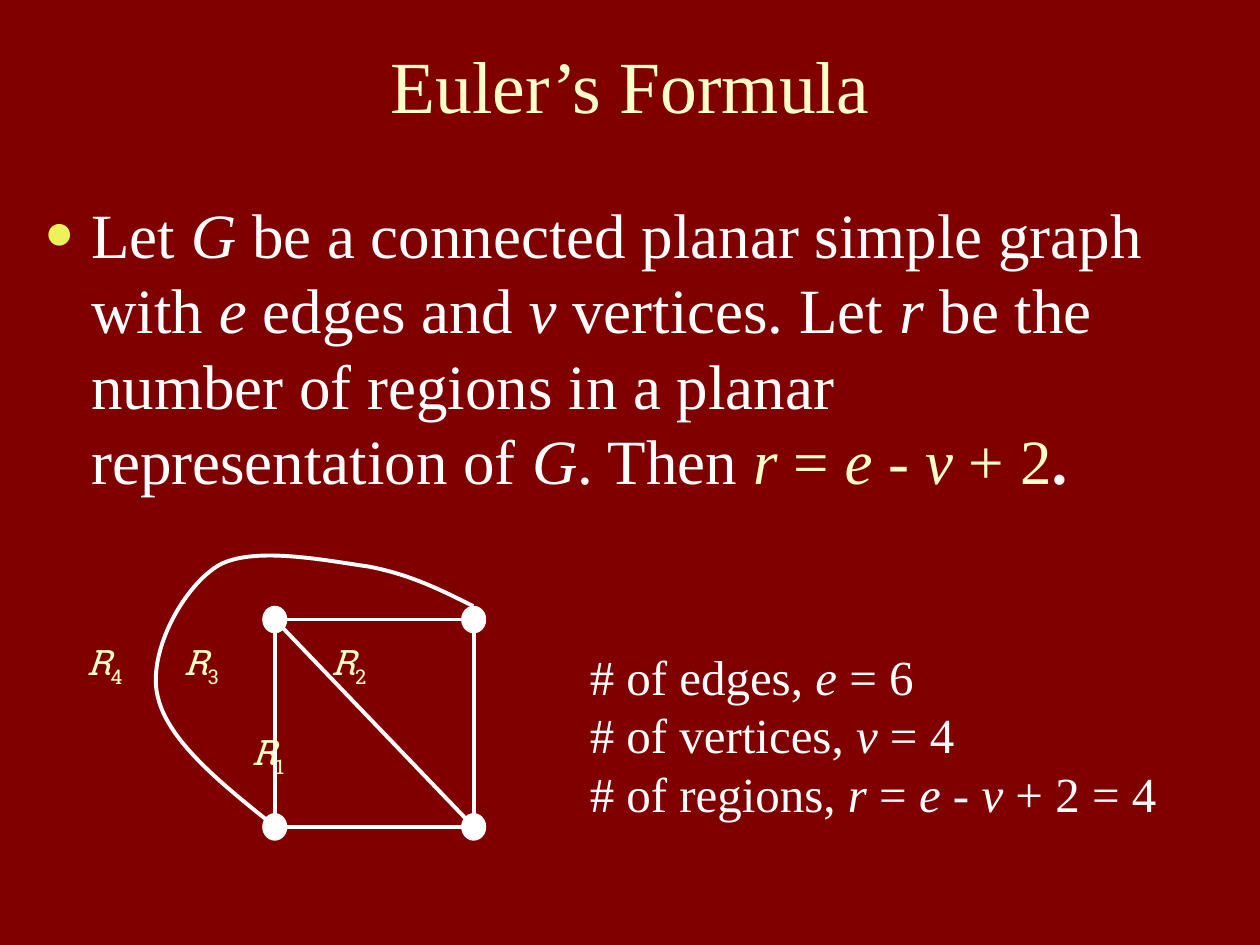
from lxml import etree
from pptx import Presentation, util as u
from pptx.dml import color
from pptx.enum import shapes, text
from pptx.oxml import ns

COLORS = {"ground": "800000", "accent": "FFFFCC", "body": "FFFFFF", "bullet": "EBF25A"}
SERIF, SLAB = "Times New Roman", "Roboto Slab"


def rgb(name):
    """Return the named colour."""
    return color.RGBColor.from_string(COLORS[name])


def add_element(parent, tag, **attributes):
    """Append a DrawingML element to its parent."""
    return etree.SubElement(parent, ns.qn(tag), attributes)


def add_text_box(slide, box, wrap=True):
    """Add an empty text box at a box in centimetres and return its frame."""
    frame = slide.shapes.add_textbox(*map(u.Cm, box)).text_frame
    frame.word_wrap = wrap
    return frame


def write_runs(paragraph, marked, size, color_name, font=SERIF):
    """Write text in which asterisks enclose the italic parts."""
    for index, part in enumerate(marked.split("*")):
        if part:
            run = paragraph.add_run()
            run.text = part
            run.font.name = font
            run.font.size = u.Pt(size)
            run.font.italic = index % 2 == 1
            run.font.color.rgb = rgb(color_name)
    return run


def style_line(line, width=2.25):
    """Give a line the diagram colour and a width in points."""
    line.color.rgb = rgb("body")
    line.width = u.Pt(width)


def add_title(slide, box):
    """Place the centred title."""
    frame = add_text_box(slide, box)
    frame.vertical_anchor = text.MSO_ANCHOR.MIDDLE
    paragraph = frame.paragraphs[0]
    paragraph.alignment = text.PP_ALIGN.CENTER
    write_runs(paragraph, "Euler’s Formula", 42, "accent")


def add_theorem(slide, box):
    """Place the bulleted theorem."""
    paragraph = add_text_box(slide, box).paragraphs[0]
    properties = paragraph._p.get_or_add_pPr()
    properties.set("marL", str(u.Cm(0.95)))
    properties.set("indent", str(u.Cm(-0.95)))
    bullet_color = add_element(properties, "a:buClr")
    add_element(bullet_color, "a:srgbClr", val=COLORS["bullet"])
    add_element(properties, "a:buSzPct", val="80000")
    add_element(properties, "a:buFont", typeface=SERIF)
    add_element(properties, "a:buChar", char="●")
    write_runs(paragraph, "Let *G* be a connected planar simple graph with *e* edges and *v* "
               "vertices. Let *r* be the number of regions in a planar representation "
               "of *G*. Then ", 36, "body")
    write_runs(paragraph, "*r* = *e* - *v* + 2", 36, "accent")
    write_runs(paragraph, ".", 36, "body").font.bold = True


def add_counts(slide, box):
    """Place the edge, vertex and region counts."""
    frame = add_text_box(slide, box)
    lines = ("# of edges, *e* = 6", "# of vertices, *v* = 4",
             "# of regions, *r* = *e* - *v* + 2 = 4")
    for index, line in enumerate(lines):
        paragraph = frame.add_paragraph() if index else frame.paragraphs[0]
        write_runs(paragraph, line, 28, "body")


def add_outer_edge(slide, left, top):
    """Draw the curved edge around the square as Bézier segments."""
    points = [(4, -0.27), (3.38, -0.58), (2.74, -0.91), (1.88, -1.07),
              (1.02, -1.19), (-0.48, -1.5), (-1.17, -1.07),
              (-1.88, -0.61), (-2.57, 0.69), (-2.36, 1.55),
              (-2.16, 2.44), (-1.09, 3.3), (0, 4.17)]
    start, *controls = [(u.Cm(left + x), u.Cm(top + y)) for x, y in points]
    builder = slide.shapes.build_freeform(*start)
    builder.add_line_segments(controls, close=False)
    curve = builder.convert_to_shape()
    curve.shadow.inherit = False
    curve.fill.background()
    style_line(curve.line)
    outline = next(curve._element.iter(ns.qn("a:path")))
    segments = outline.findall(ns.qn("a:lnTo"))
    for first in range(0, len(segments), 3):
        bezier = add_element(outline, "a:cubicBezTo")
        for segment in segments[first:first + 3]:
            bezier.append(segment[0])
            outline.remove(segment)


def add_graph(slide, box):
    """Draw the planar graph and its region labels around a square."""
    left, top, width, height = box
    square = slide.shapes.add_shape(shapes.MSO_SHAPE.RECTANGLE, *map(u.Cm, box))
    square.shadow.inherit = False
    square.fill.background()
    style_line(square.line)
    diagonal = slide.shapes.add_connector(
        shapes.MSO_CONNECTOR.STRAIGHT, u.Cm(left), u.Cm(top),
        u.Cm(left + width), u.Cm(top + height))
    style_line(diagonal.line)
    add_element(diagonal._element.spPr, "a:effectLst")
    dot_width, dot_height = 0.48, 0.53
    for x in (left, left + width):
        for y in (top, top + height):
            vertex = slide.shapes.add_shape(
                shapes.MSO_SHAPE.OVAL, u.Cm(x - dot_width / 2), u.Cm(y - dot_height / 2),
                u.Cm(dot_width), u.Cm(dot_height))
            vertex.shadow.inherit = False
            vertex.fill.solid()
            vertex.fill.fore_color.rgb = rgb("body")
            style_line(vertex.line, 0.75)
    add_outer_edge(slide, left, top)
    labels = {"4": (-4.04, 0.3), "3": (-2.08, 0.3), "2": (0.89, 0.3), "1": (-0.71, 2.11)}
    for number, (x, y) in labels.items():
        frame = add_text_box(slide, (left + x, top + y, 1.3, 1.2), wrap=False)
        write_runs(frame.paragraphs[0], "*R*", 20, "accent", SLAB)
        subscript = write_runs(frame.paragraphs[0], number, 20, "accent", SLAB)
        subscript.font._element.set("baseline", "-25000")


def main():
    """Build and save the slide."""
    presentation = Presentation()
    presentation.slide_width, presentation.slide_height = u.Cm(25.4), u.Cm(19.05)
    slide = presentation.slides.add_slide(presentation.slide_layouts[6])
    slide.background.fill.solid()
    slide.background.fill.fore_color.rgb = rgb("ground")
    add_title(slide, (1.27, 0.43, 22.86, 2.54))
    add_theorem(slide, (0.64, 3.81, 23.7, 7.82))
    add_counts(slide, (11.64, 12.9, 12.9, 3.81))
    add_graph(slide, (5.54, 12.49, 4.01, 4.18))
    presentation.save("out.pptx")


if __name__ == "__main__":
    main()
